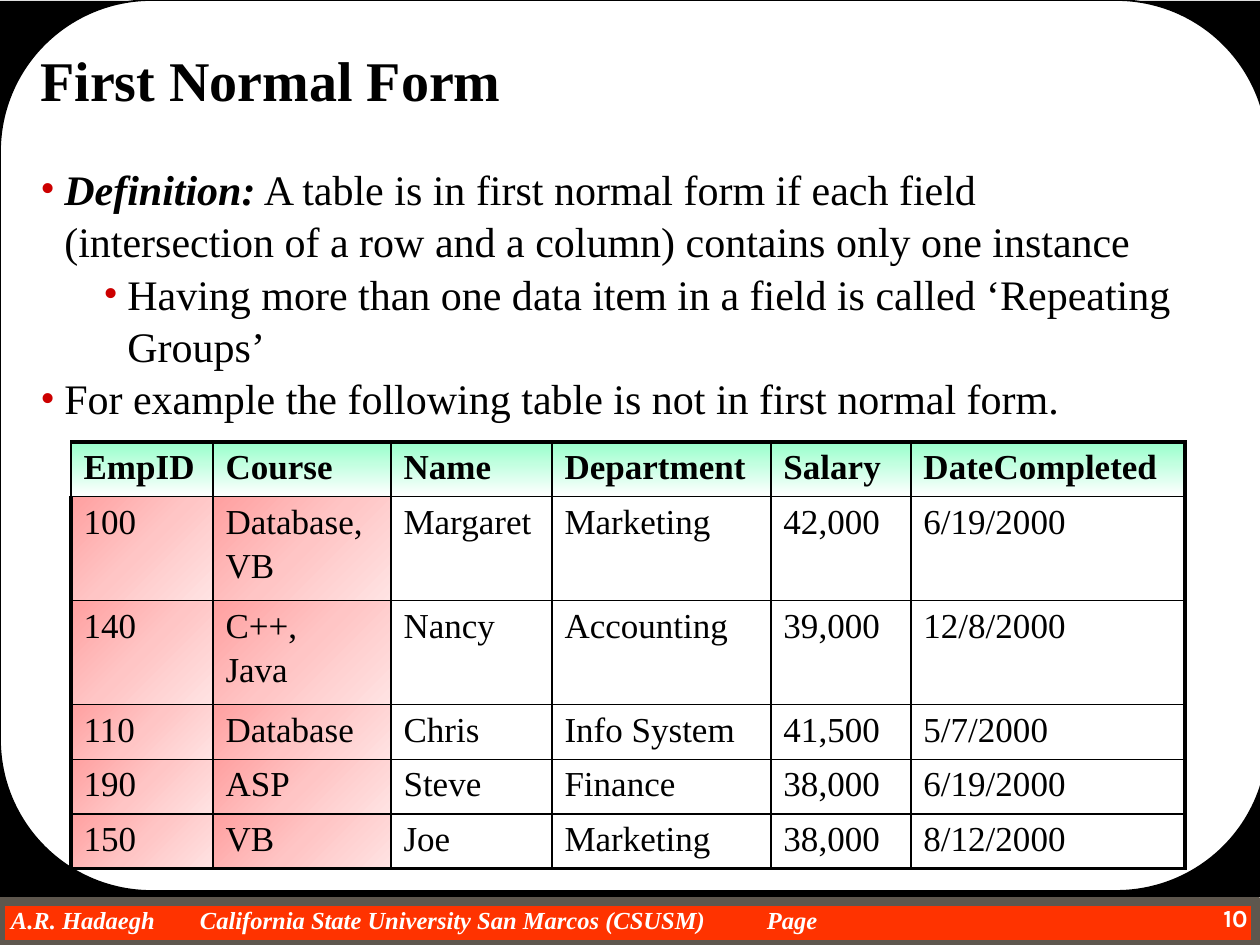
import pptx
import pptx.util
import pptx.dml.color
import pptx.enum.shapes
import pptx.enum.text
import pptx.oxml
import pptx.oxml.ns

SCALE = 914400 / 126  # EMU in one px
SERIF = "Times New Roman"
COLORS = {
    "black": "000000", "white": "FFFFFF", "footer": "FF3300", "footer edge": "5E574E",
    "bullet": "CC0000", "mint": "99FFCC",
    "rose": "FFA0A0", "light rose": "FFC5C5", "pale rose": "FFE3E3",
}

TITLE = "First Normal Form"
# (left edge of the text in px, runs of (text, format))
POINTS = [
    (24, [("Definition:", {"bold": True, "italic": True}),
          (" A table is in first normal form if each field (intersection of a row "
           "and a column) contains only one instance", {})]),
    (87, [("Having more than one data item in a field is called ‘Repeating Groups’", {})]),
    (24, [("For example the following table is not in first normal form.", {})]),
]
HANG = 24

EMPLOYEES = [
    ("EmpID", "Course", "Name", "Department", "Salary", "DateCompleted"),
    ("100", "Database,\nVB", "Margaret", "Marketing", "42,000", "6/19/2000"),
    ("140", "C++,\nJava", "Nancy", "Accounting", "39,000", "12/8/2000"),
    ("110", "Database", "Chris", "Info System", "41,500", "5/7/2000"),
    ("190", "ASP", "Steve", "Finance", "38,000", "6/19/2000"),
    ("150", "VB", "Joe", "Marketing", "38,000", "8/12/2000"),
]
COLUMN_WIDTHS = (142, 178, 161, 219, 140, 274)
ROW_HEIGHTS = {1: 54, 2: 104}  # by lines of text in the row
TABLE_LEFT, TABLE_TOP = 71, 442
KEY_COLUMNS = 2

FOOTER = ("A.R. Hadaegh", "California State University San Marcos (CSUSM)", "Page")
FOOTER_LEFT = 11
FOOTER_TABS = (("ctr", 658), ("r", 1206))
PAGE_NUMBER = "10"


def px(length):
    return pptx.util.Emu(round(length * SCALE))


def rgb(name):
    return pptx.dml.color.RGBColor.from_string(COLORS[name])


def element(xml):
    """Parse one drawing element given without its namespace declaration."""
    tag, rest = xml[1:].split(" ", 1)
    return pptx.oxml.parse_xml(f'<{tag} {pptx.oxml.ns.nsdecls("a")} {rest}')


def add_run(paragraph, text, size, color="black", **format_values):
    run = paragraph.add_run()
    run.text = text
    run.font.color.rgb = rgb(color)
    values = {"name": SERIF, "size": pptx.util.Pt(size), "bold": False, **format_values}
    for attribute, value in values.items():
        setattr(run.font, attribute, value)


def add_panel(slide, kind, box, fill, line=None, width=1):
    panel = slide.shapes.add_shape(kind, *map(px, box))
    panel.shadow.inherit = False
    panel.fill.solid()
    panel.fill.fore_color.rgb = rgb(fill)
    if line:
        panel.line.color.rgb = rgb(line)
        panel.line.width = pptx.util.Pt(width)
    else:
        panel.line.fill.background()
    return panel


def add_text_frame(slide, box):
    frame = slide.shapes.add_textbox(*map(px, box)).text_frame
    frame.word_wrap = True
    return frame


def add_background(slide):
    shapes = pptx.enum.shapes.MSO_SHAPE
    add_panel(slide, shapes.RECTANGLE, (0, 901, 1256, 44), "footer", "footer edge", 6)
    add_panel(slide, shapes.RECTANGLE, (0, 1, 1260, 896), "black")
    page = add_panel(slide, shapes.ROUNDED_RECTANGLE, (0, 0, 1268, 891), "white", "black")
    page.adjustments[0] = 0.17


def add_footer(slide):
    frame = add_text_frame(slide, (0, 905, 1220, 29))
    for side in ("left", "top", "right", "bottom"):
        setattr(frame, f"margin_{side}", 0)
    line = frame.paragraphs[0]
    properties = line._p.get_or_add_pPr()
    properties.set("marL", str(px(FOOTER_LEFT)))
    properties.set("indent", "0")
    stops = "".join(f'<a:tab pos="{px(at)}" algn="{align}"/>' for align, at in FOOTER_TABS)
    properties.append(element(f"<a:tabLst >{stops}</a:tabLst>"))
    add_run(line, "\t".join(FOOTER), 14, "white", bold=True, italic=True)

    number = add_text_frame(slide, (1166, 897, 94, 48)).paragraphs[0]
    number.alignment = pptx.enum.text.PP_ALIGN.RIGHT
    add_run(number, PAGE_NUMBER, 14, "white", name="Karla", bold=True)


def add_body(slide):
    frame = add_text_frame(slide, (28, 39, 1157, 374))
    title = frame.paragraphs[0]
    title.space_after = pptx.util.Pt(28)
    add_run(title, TITLE, 32, bold=True)
    for left, runs in POINTS:
        point = frame.add_paragraph()
        properties = point._p.get_or_add_pPr()
        properties.set("marL", str(px(left)))
        properties.set("indent", str(px(-HANG)))
        properties.append(element(
            f'<a:buClr ><a:srgbClr val="{COLORS["bullet"]}"/></a:buClr>'))
        properties.append(element(f'<a:buFont typeface="{SERIF}"/>'))
        properties.append(element('<a:buChar char="•"/>'))
        point.line_spacing = 1.04
        for text, format_values in runs:
            add_run(point, text, 24, **format_values)


def gradient(names, direction):
    last = len(names) - 1
    stops = "".join(
        f'<a:gs pos="{100000 * i // last}"><a:srgbClr val="{COLORS[name]}"/></a:gs>'
        for i, name in enumerate(names))
    return element(f'<a:gradFill rotWithShape="1"><a:gsLst>{stops}</a:gsLst>'
                   f"{direction}</a:gradFill>")


def style_cell(cell, row, column):
    last_row, last_column = len(EMPLOYEES) - 1, len(COLUMN_WIDTHS) - 1
    thick = {"L": column == 0 and row > 0, "R": column == last_column,
             "T": row == 0, "B": row == last_row}
    properties = cell._tc.get_or_add_tcPr()
    for side, is_thick in thick.items():
        width = pptx.util.Pt(2.25 if is_thick else 1)
        properties.append(element(
            f'<a:ln{side} w="{width}"><a:solidFill><a:srgbClr val="{COLORS["black"]}"/>'
            f"</a:solidFill></a:ln{side}>"))
    if row == 0:
        properties.append(gradient(("mint", "white"), '<a:lin ang="5400000" scaled="1"/>'))
    elif column < KEY_COLUMNS:
        properties.append(gradient(
            ("rose", "light rose", "pale rose"),
            '<a:path path="circle"><a:fillToRect r="100000" b="100000"/></a:path>'))
    else:
        cell.fill.background()


def add_employee_table(slide):
    heights = [ROW_HEIGHTS[max(text.count("\n") + 1 for text in row)] for row in EMPLOYEES]
    table = slide.shapes.add_table(
        len(EMPLOYEES), len(COLUMN_WIDTHS), px(TABLE_LEFT), px(TABLE_TOP),
        px(sum(COLUMN_WIDTHS)), px(sum(heights))).table
    table.horz_banding = False
    for column, width in zip(table.columns, COLUMN_WIDTHS):
        column.width = px(width)
    for r, texts in enumerate(EMPLOYEES):
        table.rows[r].height = px(heights[r])
        for c, text in enumerate(texts):
            cell = table.cell(r, c)
            style_cell(cell, r, c)
            for i, line in enumerate(text.split("\n")):
                frame = cell.text_frame
                paragraph = frame.add_paragraph() if i else frame.paragraphs[0]
                if i:
                    paragraph.space_before = pptx.util.Pt(3.3)
                add_run(paragraph, line, 20, bold=r == 0)


def main():
    deck = pptx.Presentation()
    deck.slide_width, deck.slide_height = px(1260), px(945)
    slide = deck.slides.add_slide(deck.slide_layouts[6])
    add_background(slide)
    add_footer(slide)
    add_body(slide)
    add_employee_table(slide)
    deck.save("out.pptx")


if __name__ == "__main__":
    main()
